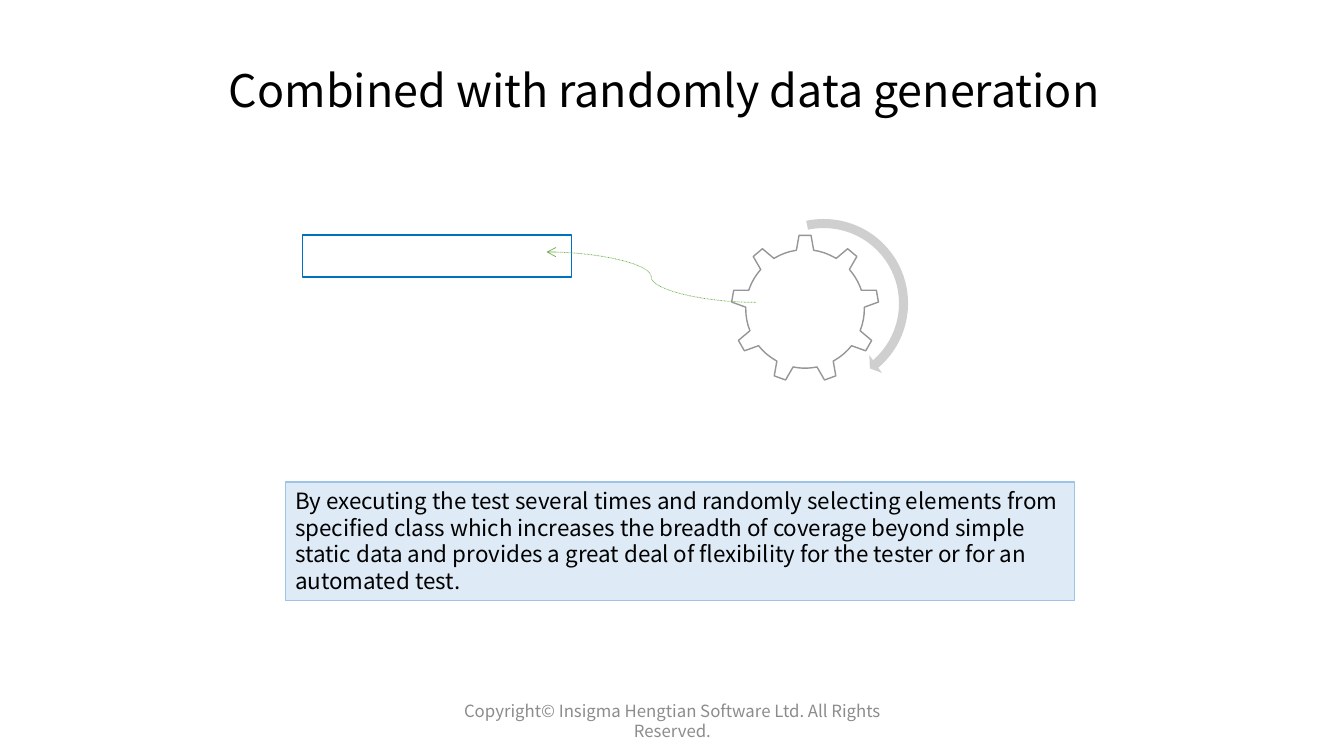
from lxml.etree import SubElement
from pptx import Presentation
from pptx.dml.color import RGBColor
from pptx.enum.dml import MSO_LINE
from pptx.enum.shapes import MSO_CONNECTOR, MSO_SHAPE
from pptx.enum.text import MSO_ANCHOR, MSO_AUTO_SIZE, PP_ALIGN
from pptx.oxml.ns import qn
from pptx.util import Inches, Pt

FONT = "Noto Sans CJK SC"
BLACK = RGBColor(0x00, 0x00, 0x00)
WHITE = RGBColor(0xFF, 0xFF, 0xFF)
GRAY = RGBColor(0x8C, 0x8C, 0x8C)
GEAR_LINE = RGBColor(0x96, 0x96, 0x96)
ARROW_GRAY = RGBColor(0xCF, 0xCF, 0xCF)
BLUE = RGBColor(0x00, 0x70, 0xC0)
PALE_BLUE = RGBColor(0xDE, 0xEB, 0xF7)
LIGHT_BLUE = RGBColor(0x9D, 0xC3, 0xE6)
GREEN = RGBColor(0x70, 0xAD, 0x47)


class SlideBuilder:
    def __init__(self, prs, font):
        self.font = font
        self.slide = prs.slides.add_slide(prs.slide_layouts[5])

    def set_text(self, sp, text, size, color=BLACK, align=PP_ALIGN.LEFT,
                 anchor=MSO_ANCHOR.TOP, auto_size=MSO_AUTO_SIZE.NONE):
        tf = sp.text_frame
        tf.text = text
        tf.word_wrap = True
        tf.auto_size = auto_size
        tf.vertical_anchor = anchor
        p = tf.paragraphs[0]
        p.alignment = align
        font = p.runs[0].font
        font.name, font.size = self.font, Pt(size)
        font.color.rgb = color
        return p

    def title(self, text, box, size):
        sp = self.slide.shapes.title
        sp.left, sp.top, sp.width, sp.height = map(Inches, box)
        p = self.set_text(sp, text, size, anchor=MSO_ANCHOR.MIDDLE)
        p.line_spacing = 0.9

    def shape(self, kind, box, fill, line=None, adjustments=(), parent=None):
        shapes = (parent or self.slide).shapes
        sp = shapes.add_shape(kind, *map(Inches, box))
        sp.shadow.inherit = False
        sp.fill.solid()
        sp.fill.fore_color.rgb = fill
        if line:
            sp.line.color.rgb = line
            sp.line.width = Pt(1)
        else:
            sp.line.fill.background()
        for i, value in enumerate(adjustments):
            sp.adjustments[i] = value
        return sp

    def text_box(self, text, box, size, **style):
        sp = self.slide.shapes.add_textbox(*map(Inches, box))
        self.set_text(sp, text, size, **style)

    def curved_arrow(self, start, end, color, width):
        """Dotted curve with its arrowhead at the start."""
        cxn = self.slide.shapes.add_connector(
            MSO_CONNECTOR.CURVE, *map(Inches, start + end))
        cxn.line.color.rgb = color
        cxn.line.width = Pt(width)
        cxn.line.dash_style = MSO_LINE.ROUND_DOT
        sp_pr = cxn._element.spPr
        SubElement(sp_pr.find(qn("a:ln")), qn("a:headEnd"), type="arrow")
        SubElement(sp_pr, qn("a:effectLst"))


def main():
    prs = Presentation()
    prs.slide_width, prs.slide_height = Inches(13.33), Inches(7.5)
    s = SlideBuilder(prs, FONT)

    # Title
    s.title("Combined with randomly data generation", (2.17, 0.3, 9, 1.25), 32)

    # Gear with its turning arrow
    gear = s.slide.shapes.add_group_shape()
    s.shape(MSO_SHAPE.GEAR_9, (7.25, 2.33, 1.47, 1.47), WHITE, GEAR_LINE,
            parent=gear)
    s.shape(MSO_SHAPE.CIRCULAR_ARROW, (7.27, 2.11, 1.8, 1.8), ARROW_GRAY,
            adjustments=(0.05, 3.13, 29.66, 154.81, 0.06), parent=gear)

    # Data field fed by the gear
    s.shape(MSO_SHAPE.RECTANGLE, (3, 2.33, 2.67, 0.42), WHITE, BLUE)
    s.curved_arrow((5.42, 2.5), (7.5, 3), GREEN, 0.5)

    # Explanation
    note = s.shape(MSO_SHAPE.RECTANGLE, (2.83, 4.78, 7.83, 1.18),
                   PALE_BLUE, LIGHT_BLUE)
    s.set_text(note, "By executing the test several times and randomly "
               "selecting elements from specified class which increases the "
               "breadth of coverage beyond simple static data and provides a "
               "great deal of flexibility for the tester or for an automated "
               "test.", 16, auto_size=MSO_AUTO_SIZE.SHAPE_TO_FIT_TEXT)

    # Footer
    s.text_box("Copyright© Insigma Hengtian Software Ltd. All Rights Reserved.",
               (4.42, 6.95, 4.5, 0.4), 12, color=GRAY,
               align=PP_ALIGN.CENTER, anchor=MSO_ANCHOR.MIDDLE)

    prs.save("out.pptx")


if __name__ == "__main__":
    main()
